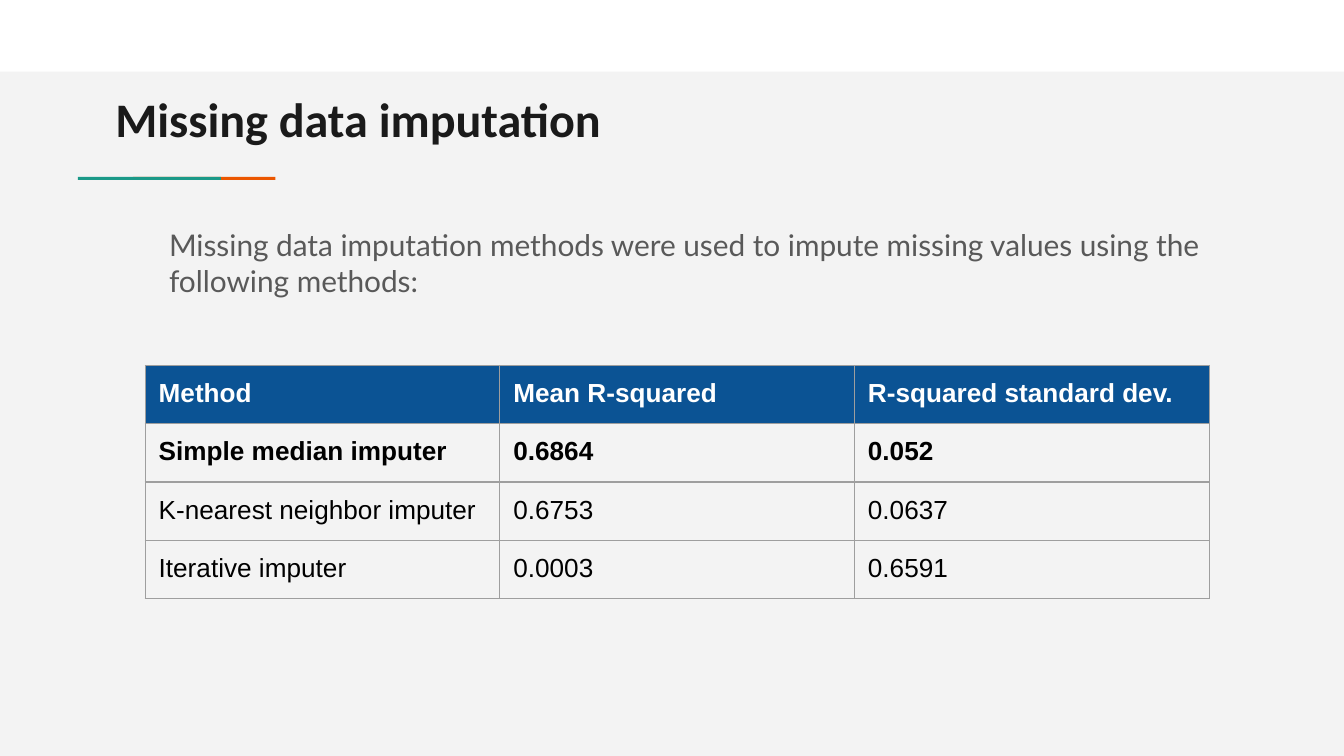
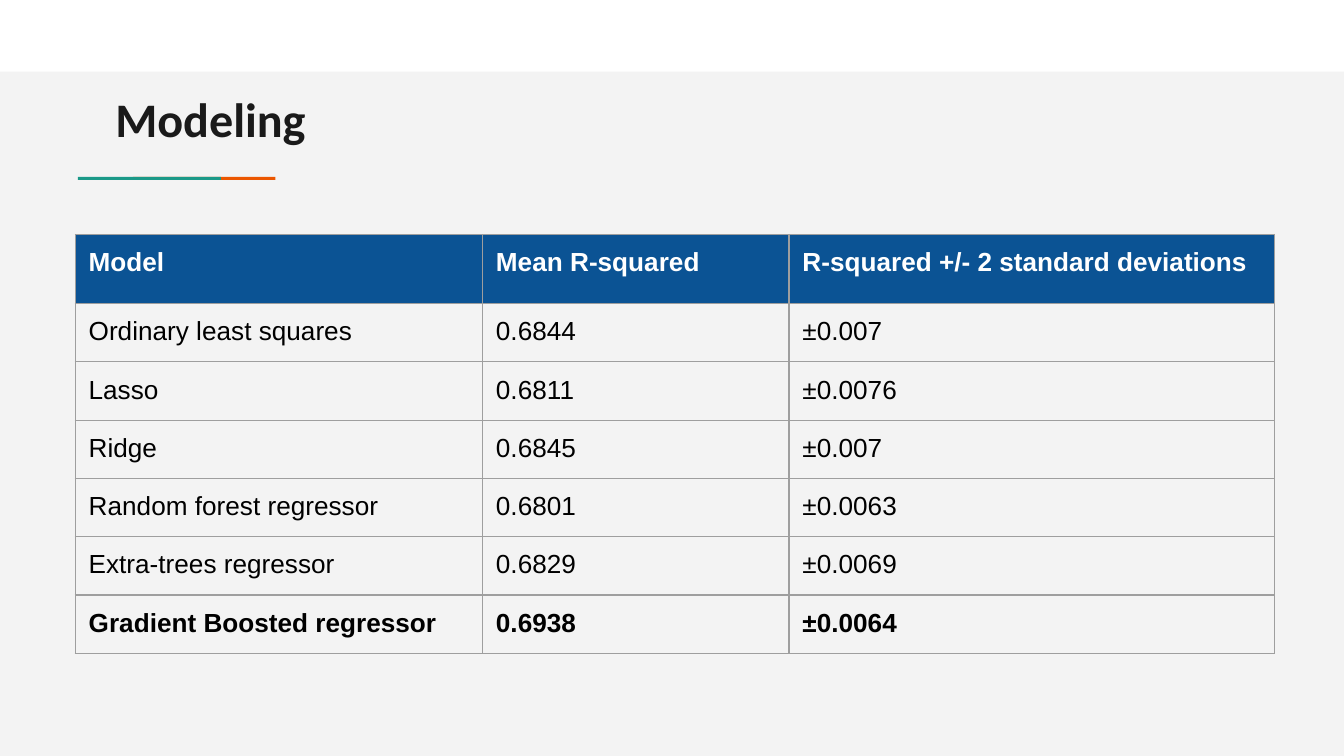
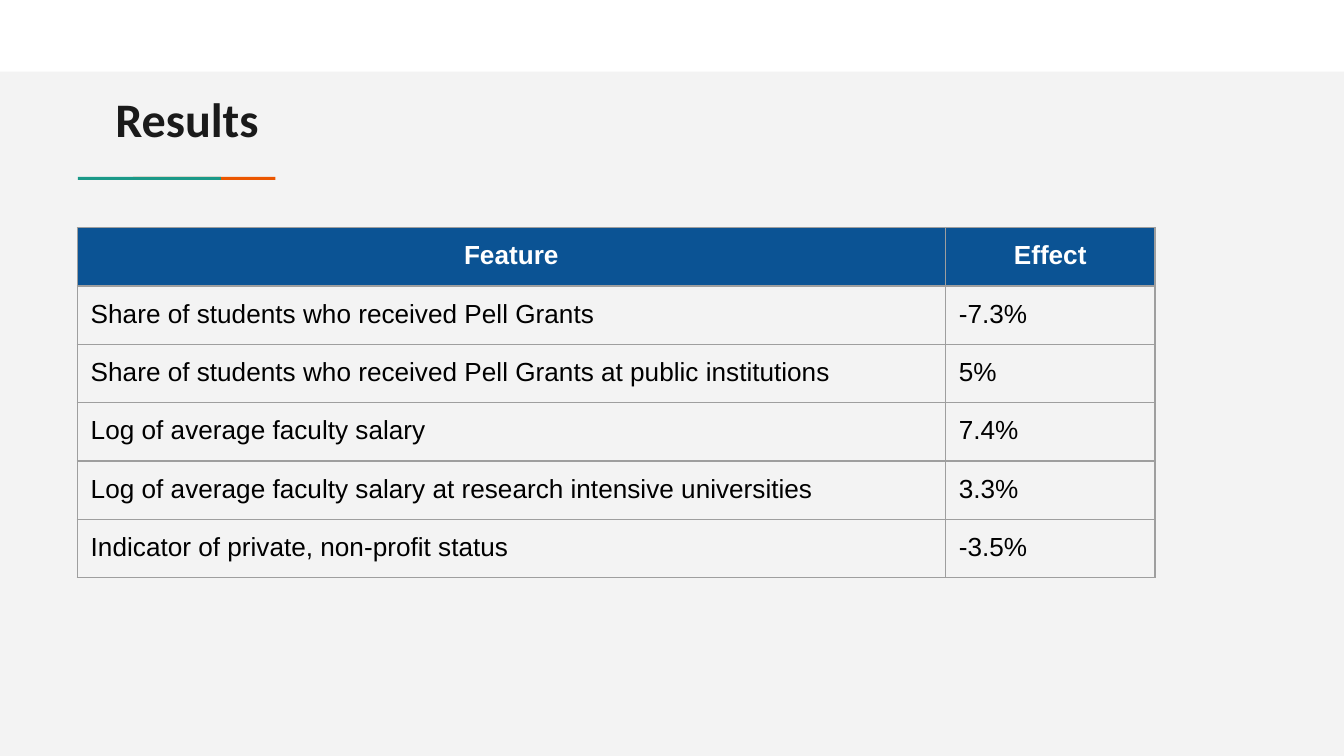
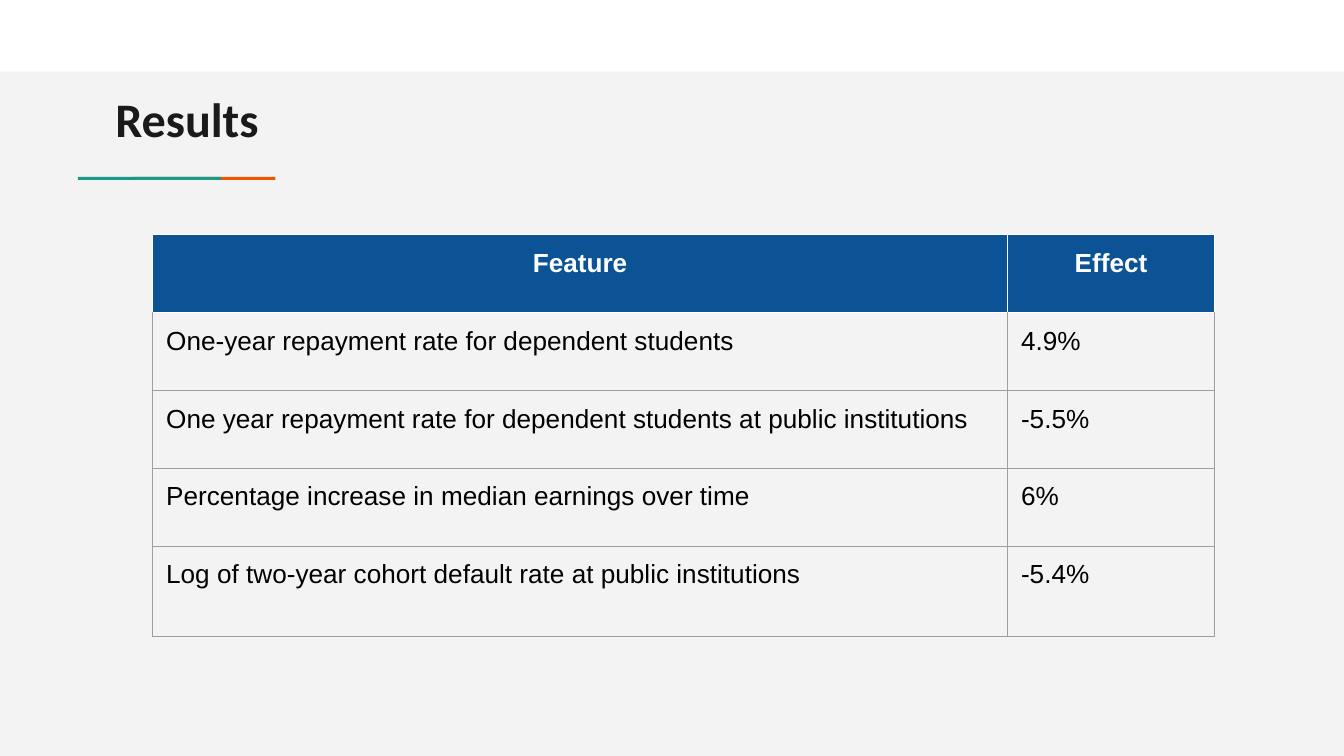
from lxml.etree import SubElement
from pptx import Presentation
from pptx.dml.color import RGBColor
from pptx.enum.shapes import MSO_SHAPE as Shape
from pptx.enum.text import MSO_ANCHOR as Anchor, PP_ALIGN as Align
from pptx.oxml.ns import qn
from pptx.util import Pt

COLORS = {
    "page": "F3F3F3",
    "white": "FFFFFF",
    "green": "1A9988",
    "orange": "EB5600",
    "title": "1A1A1A",
    "body": "595959",
    "black": "000000",
    "header": "0B5394",
    "grid": "9E9E9E",
}
INSET = 7.2
SIDES = ("L", "R", "T", "B")


def color(name):
    return RGBColor.from_string(COLORS[name])


def write(frame, text, font="Arial", size=14, ink="black", bold=False, align=Align.LEFT):
    paragraph = frame.paragraphs[0]
    paragraph.alignment = align
    run = paragraph.add_run()
    run.text = text
    run.font.name = font
    run.font.size = Pt(size)
    run.font.bold = bold
    run.font.color.rgb = color(ink)


def set_borders(cell, **lines):
    """Draw the four cell edges in grid grey, or in the colour named for a side."""
    properties = cell._tc.get_or_add_tcPr()
    for place, side in enumerate(SIDES):
        edge = SubElement(properties, qn(f"a:ln{side}"), w=str(Pt(0.75)))
        fill = SubElement(edge, qn("a:solidFill"))
        SubElement(fill, qn("a:srgbClr"), val=COLORS[lines.get(side, "grid")])
        properties.insert(place, edge)


class Deck:
    def __init__(self):
        self.presentation = Presentation()
        self.presentation.slide_width = Pt(720)
        self.presentation.slide_height = Pt(405)
        self.slide = None

    def start_slide(self, title):
        blank = self.presentation.slide_layouts[6]
        self.slide = self.presentation.slides.add_slide(blank)
        background = self.slide.background.fill
        background.solid()
        background.fore_color.rgb = color("page")
        self.bar(0, 0, 720, 38.4, "white")
        self.bar(71.2, 94.8, 76.3, 1.6, "orange")
        self.bar(41.8, 94.8, 76.6, 1.6, "green")
        self.text(54.7, 40.6, 605.5, 38.2, title,
                  font="Calibri", size=25.8, ink="title", bold=True)

    def bar(self, left, top, width, height, fill):
        bar = self.slide.shapes.add_shape(
            Shape.RECTANGLE, Pt(left), Pt(top), Pt(width), Pt(height))
        bar.shadow.inherit = False
        bar.fill.solid()
        bar.fill.fore_color.rgb = color(fill)
        bar.line.fill.background()

    def text(self, left, top, width, height, text, **style):
        box = self.slide.shapes.add_textbox(Pt(left), Pt(top), Pt(width), Pt(height))
        frame = box.text_frame
        frame.word_wrap = True
        frame.vertical_anchor = Anchor.TOP
        frame.margin_left = frame.margin_right = Pt(INSET)
        frame.margin_top = frame.margin_bottom = Pt(INSET)
        write(frame, text, **style)

    def table(self, left, top, widths, heights, rows, best=None,
              header_align=Align.LEFT, header_line="grid"):
        """Place a table with a blue header; the row numbered best is bold."""
        table = self.slide.shapes.add_table(
            len(rows), len(widths), Pt(left), Pt(top),
            Pt(sum(widths)), Pt(sum(heights))).table
        table.first_row = table.horz_banding = False
        for column, width in zip(table.columns, widths):
            column.width = Pt(width)
        for number, (row, height, values) in enumerate(zip(table.rows, heights, rows)):
            row.height = Pt(height)
            is_header = number == 0
            for cell, value in zip(row.cells, values):
                cell.margin_left = cell.margin_right = Pt(INSET)
                cell.margin_top = cell.margin_bottom = Pt(INSET)
                if is_header:
                    cell.fill.solid()
                    cell.fill.fore_color.rgb = color("header")
                    set_borders(cell, **dict.fromkeys(SIDES, header_line))
                    write(cell.text_frame, value, ink="white", bold=True,
                          align=header_align)
                else:
                    cell.fill.background()
                    set_borders(cell, T=header_line if number == 1 else "grid")
                    write(cell.text_frame, value, bold=number == best)


def add_imputation(deck):
    deck.start_slide("Missing data imputation")
    deck.text(83.5, 114.5, 573.8, 249,
              "Missing data imputation methods were used to impute missing values "
              "using the following methods:",
              font="Lato", size=16, ink="body")
    deck.table(77.8, 195.8, [190] * 3, [30] * 4, [
        ("Method", "Mean R-squared", "R-squared standard dev."),
        ("Simple median imputer", "0.6864", "0.052"),
        ("K-nearest neighbor imputer", "0.6753", "0.0637"),
        ("Iterative imputer", "0.0003", "0.6591"),
    ], best=1)


def add_modeling(deck):
    deck.start_slide("Modeling")
    deck.table(40.3, 125.6, [218.2, 164.2, 260], [37] + [31.2] * 6, [
        ("Model", "Mean R-squared", "R-squared +/- 2 standard deviations"),
        ("Ordinary least squares", "0.6844", "±0.007"),
        ("Lasso", "0.6811", "±0.0076"),
        ("Ridge", "0.6845", "±0.007"),
        ("Random forest regressor", "0.6801", "±0.0063"),
        ("Extra-trees regressor", "0.6829", "±0.0069"),
        ("Gradient Boosted regressor", "0.6938", "±0.0064"),
    ], best=6)


def add_student_results(deck):
    deck.start_slide("Results")
    deck.table(41.4, 122, [465.1, 112.3], [31.2] * 6, [
        ("Feature", "Effect"),
        ("Share of students who received Pell Grants", "-7.3%"),
        ("Share of students who received Pell Grants at public institutions", "5%"),
        ("Log of average faculty salary", "7.4%"),
        ("Log of average faculty salary at research intensive universities", "3.3%"),
        ("Indicator of private, non-profit status", "-3.5%"),
    ], header_align=Align.CENTER)


def add_repayment_results(deck):
    deck.start_slide("Results")
    deck.table(81.8, 125.8, [458, 110.9], [41.8] * 4 + [48.2], [
        ("Feature", "Effect"),
        ("One-year repayment rate for dependent students", "4.9%"),
        ("One year repayment rate for dependent students at public institutions", "-5.5%"),
        ("Percentage increase in median earnings over time", "6%"),
        ("Log of two-year cohort default rate at public institutions", "-5.4%"),
    ], header_align=Align.CENTER, header_line="white")


def main():
    deck = Deck()
    add_imputation(deck)
    add_modeling(deck)
    add_student_results(deck)
    add_repayment_results(deck)
    deck.presentation.save("out.pptx")


if __name__ == "__main__":
    main()
